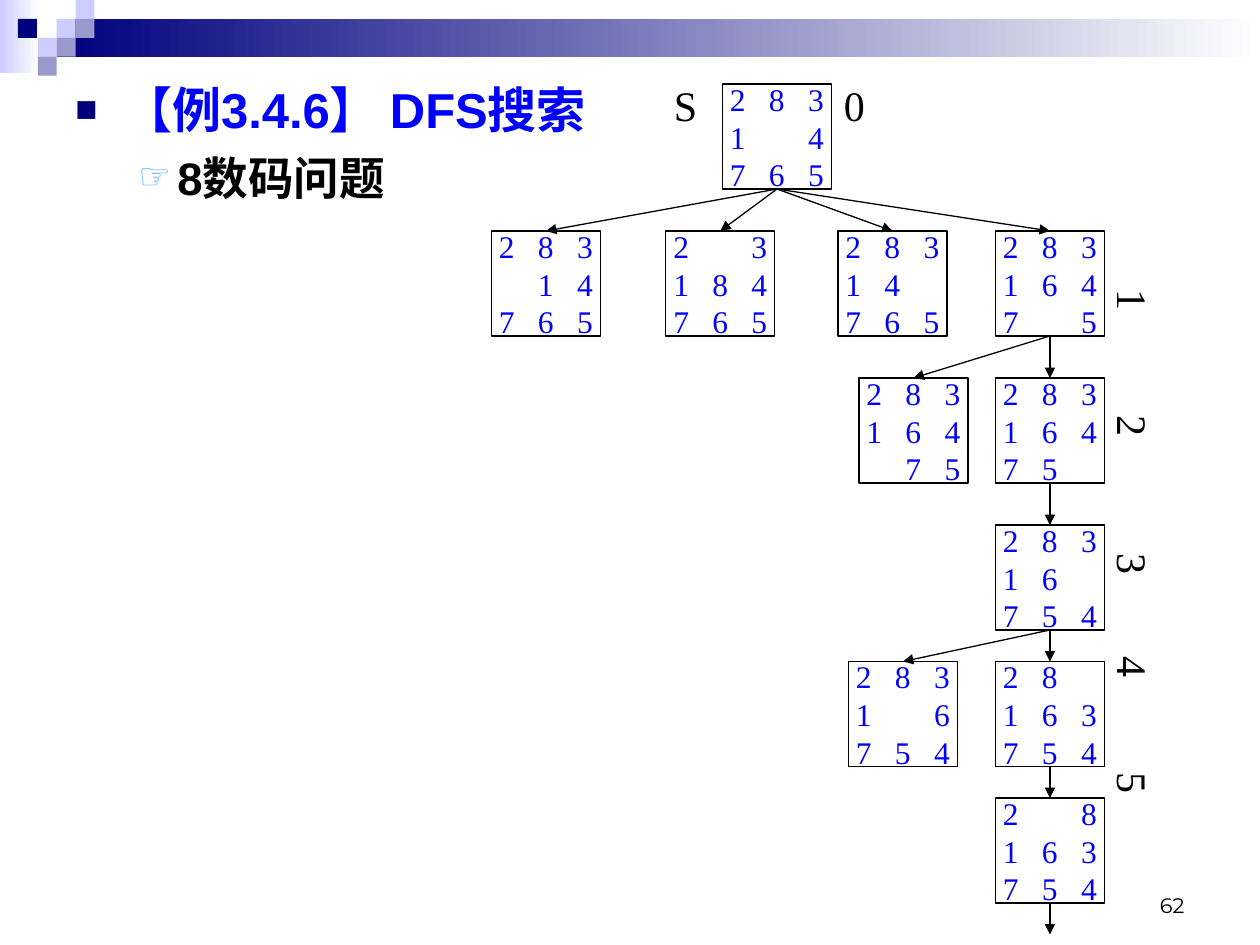
from lxml import etree
from pptx import Presentation
from pptx import util as u
from pptx.dml.color import RGBColor
from pptx.enum import shapes, text
from pptx.oxml import ns

NAVY = RGBColor(0x00, 0x00, 0x7D)
LILAC = RGBColor(0xCC, 0xCC, 0xFF)
SLATE = RGBColor(0x99, 0x99, 0xCC)
WHITE = RGBColor(0xFF, 0xFF, 0xFF)
BLACK = RGBColor(0x00, 0x00, 0x00)
BLUE = RGBColor(0x00, 0x00, 0xFF)
SKY = RGBColor(0x67, 0xAF, 0xFF)

GRID = u.Inches(1) / 12      # 120 columns by 90 rows
MOSAIC = u.Inches(0.15)      # side of a corner tile
BOARD_W, BOARD_H = 10.4, 10
SERIF = "Times New Roman"


def place(*lengths, unit=GRID):
    return [u.Emu(round(n * unit)) for n in lengths]


def write(paragraph, words, size, font, color, bold=False, tabs=()):
    """Add one run, with left tab stops given in inches."""
    if tabs:
        stops = etree.SubElement(paragraph._p.get_or_add_pPr(), ns.qn("a:tabLst"))
        for stop in tabs:
            etree.SubElement(stops, ns.qn("a:tab"), pos=str(u.Inches(stop)), algn="l")
    run = paragraph.add_run()
    run.text = words
    run.font.size, run.font.name, run.font.bold = u.Pt(size), font, bold
    run.font.color.rgb = color


prs = Presentation()
prs.slide_width, prs.slide_height = place(120, 90)
slide = prs.slides.add_slide(prs.slide_layouts[6])
items = slide.shapes

# Corner mosaic and header band
for area, start in (((0, 0, 2.07, 3.87), LILAC), ((3, 1, 63.67, 2), NAVY)):
    band = items.add_shape(shapes.MSO_SHAPE.RECTANGLE, *place(*area, unit=MOSAIC))
    band.shadow.inherit = False
    band.line.fill.background()
    band.fill.gradient()
    band.fill.gradient_angle = 0
    for stop, color in zip(band.fill.gradient_stops, (start, WHITE)):
        stop.color.rgb = color

for col, row, color in ((3, 1, LILAC), (4, 0, LILAC), (4, 1, SLATE), (2, 2, LILAC),
                        (0.95, 1, NAVY), (3, 2, SLATE), (2, 3, SLATE)):
    tile = items.add_shape(shapes.MSO_SHAPE.RECTANGLE, *place(col, row, 1, 1, unit=MOSAIC))
    tile.shadow.inherit = False
    tile.line.fill.background()
    tile.fill.solid()
    tile.fill.fore_color.rgb = color

# Heading and subheading
outline = items.add_textbox(*place(6, 7, 108, 83)).text_frame
outline.word_wrap = True
for level, (words, size, ink, mark, mark_color, share, margin, hang) in enumerate((
        ("【例3.4.6】 DFS搜索", 28, BLUE, "■", NAVY, 75, 0.38, 0.38),
        ("8数码问题", 26, BLACK, "☞", SKY, 80, 0.81, 0.31))):
    line = outline.add_paragraph() if level else outline.paragraphs[0]
    line.level = level
    if level:
        line.space_before = u.Pt(6.5)
    props = line._p.get_or_add_pPr()
    props.set("marL", str(u.Inches(margin)))
    props.set("indent", str(-u.Inches(hang)))
    bullet_color = etree.SubElement(props, ns.qn("a:buClr"))
    etree.SubElement(bullet_color, ns.qn("a:srgbClr"), val=str(mark_color))
    etree.SubElement(props, ns.qn("a:buSzPct"), val=str(share * 1000))
    etree.SubElement(props, ns.qn("a:buFont"), typeface="Arial")
    etree.SubElement(props, ns.qn("a:buChar"), char=mark)
    write(line, words, size, "Arial", ink, bold=True)

# Boards: column, row, three lines of tiles (0 is the empty square), parent
BOARDS = {
    "start": (68.8, 8, "283 104 765", None),
    "left": (46.8, 22, "283 014 765", "start"),
    "down": (63.4, 22, "203 184 765", "start"),
    "right": (79.8, 22, "283 140 765", "start"),
    "up": (94.8, 22, "283 164 705", "start"),
    "up-left": (81.8, 36, "283 164 075", "up"),
    "depth 2": (94.8, 36, "283 164 750", "up"),
    "depth 3": (94.8, 50, "283 160 754", "depth 2"),
    "depth 4 side": (80.8, 63, "283 106 754", "depth 3"),
    "depth 4": (94.8, 63, "280 163 754", "depth 3"),
    "depth 5": (94.8, 76, "208 163 754", "depth 4"),
}
boards = {}
for state, (col, row, tiles, parent) in BOARDS.items():
    board = items.add_shape(shapes.MSO_SHAPE.RECTANGLE, *place(col, row, BOARD_W, BOARD_H))
    boards[state] = board
    board.shadow.inherit = False
    board.fill.background()
    board.line.color.rgb = BLACK
    board.line.width = u.Pt(0.75)
    frame = board.text_frame
    frame.word_wrap = True
    frame.vertical_anchor = text.MSO_ANCHOR.MIDDLE
    frame.margin_left = u.Inches(0.06)
    frame.margin_right = frame.margin_top = frame.margin_bottom = 0
    for i, digits in enumerate(tiles.split()):
        line = frame.add_paragraph() if i else frame.paragraphs[0]
        line.alignment = text.PP_ALIGN.LEFT
        line.line_spacing = u.Pt(21.5)
        write(line, "\t".join(digits.replace("0", " ")).replace(" ", "").rstrip("\t"),
              18, SERIF, BLUE, tabs=(0.31, 0.62))

# Moves: each board is reached from its parent, and the last one goes on
moves = [(parent, state) for state, (*_, parent) in BOARDS.items() if parent]
for parent, state in moves + [("depth 5", None)]:
    arrow = items.add_connector(shapes.MSO_CONNECTOR.STRAIGHT, *place(100, 86, 100, 89))
    arrow.begin_connect(boards[parent], 2)
    if state:
        arrow.end_connect(boards[state], 0)
    else:
        arrow.end_x = arrow.begin_x
    arrow.line.color.rgb = BLACK
    arrow.line.width = u.Pt(0.75)
    etree.SubElement(arrow.line._get_or_add_ln(), ns.qn("a:tailEnd"), type="triangle")
    etree.SubElement(arrow._element.spPr, ns.qn("a:effectLst"))

# Depth labels
depths = items.add_textbox(*place(103.8, 18, 7.2, 67)).text_frame
depths.word_wrap = True
depths.margin_left = depths.margin_right = u.Inches(0.05)
depths.margin_top = depths.margin_bottom = u.Inches(0.1)
depths._txBody.bodyPr.set("vert", "eaVert")
write(depths.paragraphs[0], "\t1\t2\t3\t4\t5", 24, SERIF, BLACK,
      tabs=(0.7, 1.7, 2.79, 3.61, 4.53))

root = items.add_textbox(*place(63, 7, 25, 6)).text_frame
root.word_wrap = True
write(root.paragraphs[0], "S\t0", 24, SERIF, BLACK, tabs=(1.35,))

page = items.add_textbox(*place(86, 82, 28, 6)).text_frame
page.word_wrap = True
page.vertical_anchor = text.MSO_ANCHOR.BOTTOM
page.paragraphs[0].alignment = text.PP_ALIGN.RIGHT
write(page.paragraphs[0], "62", 12, "Montserrat", BLACK)

prs.save("out.pptx")
